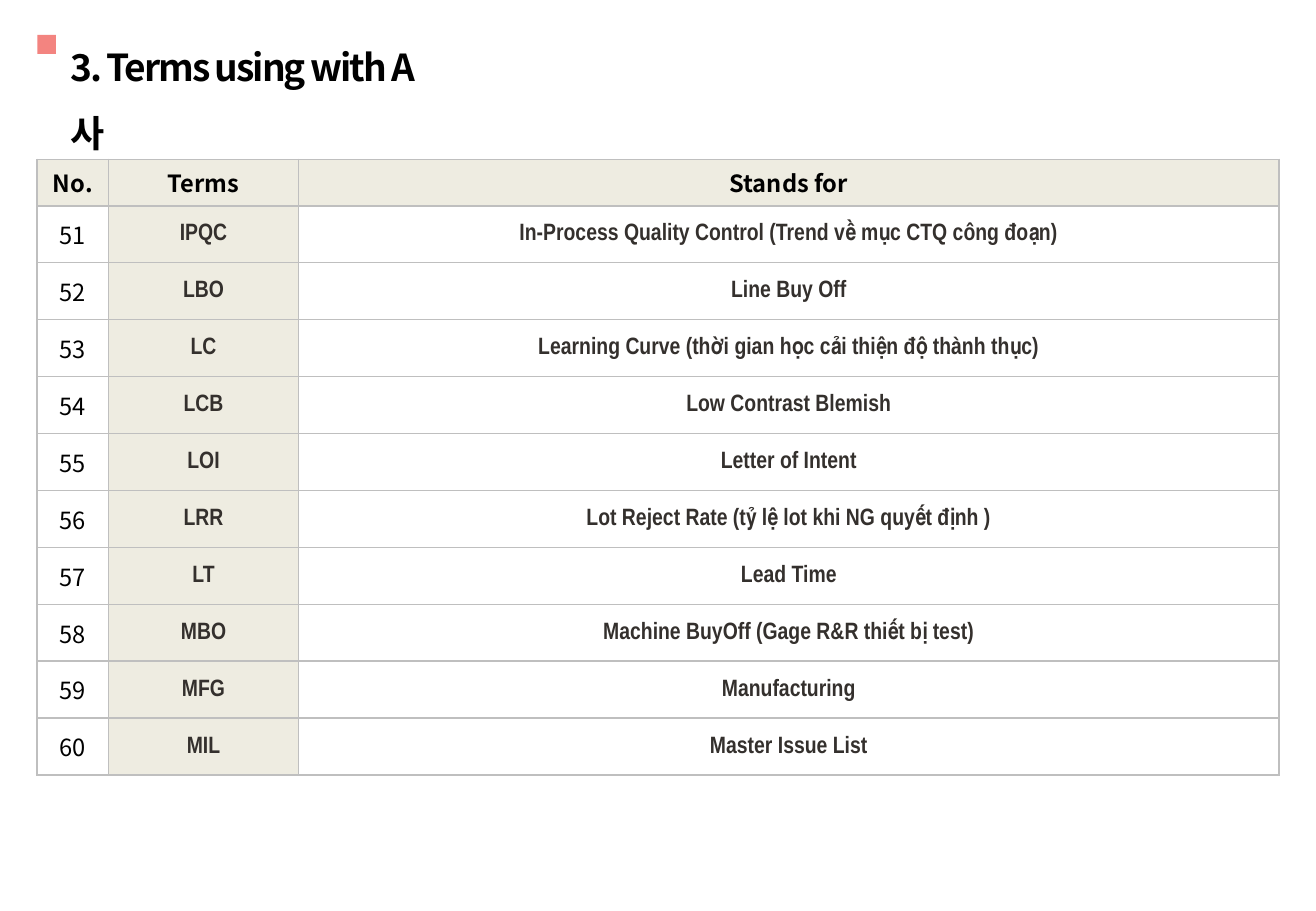
from pptx import Presentation
from pptx.dml.color import RGBColor
from pptx.enum.shapes import MSO_SHAPE as Shape
from pptx.enum.text import MSO_ANCHOR as Anchor, MSO_AUTO_SIZE as AutoSize, PP_ALIGN as Align
from pptx.oxml import parse_xml
from pptx.oxml.ns import nsdecls, qn
from pptx.util import Cm, Pt

THEME = {
    "black": RGBColor(0x00, 0x00, 0x00),
    "brown": RGBColor(0x34, 0x30, 0x2D),
    "beige": RGBColor(0xEE, 0xEC, 0xE1),
    "coral": RGBColor(0xF3, 0x84, 0x80),
    "border": "BFBFBF",
    "korean": "Noto Sans CJK KR",
    "narrow": "Arial Narrow",
    "title_size": Pt(22),
    "table_size": Pt(14),
}
FIRST_NUMBER = 51
TERMS = [
    ("IPQC", "In-Process Quality Control (Trend về mục CTQ công đoạn)"),
    ("LBO", "Line Buy Off"),
    ("LC", "Learning Curve (thời gian học cải thiện độ thành thục)"),
    ("LCB", "Low Contrast Blemish"),
    ("LOI", "Letter of Intent"),
    ("LRR", "Lot Reject Rate (tỷ lệ lot khi NG quyết định )"),
    ("LT", "Lead Time"),
    ("MBO", "Machine BuyOff (Gage R&R thiết bị test)"),
    ("MFG", "Manufacturing"),
    ("MIL", "Master Issue List"),
]


def write(frame, text, align, font_name, size, color, bold):
    paragraph = frame.paragraphs[0]
    paragraph.alignment = align
    run = paragraph.add_run()
    run.text = text
    for name, value in {"name": font_name, "size": size, "bold": bold}.items():
        setattr(run.font, name, value)
    run.font.color.rgb = color
    properties = run.font._element
    properties.append(parse_xml(f'<a:ea {nsdecls("a")} typeface="{font_name}"/>'))
    return paragraph, properties


def add_borders(cell):
    properties = cell._tc.get_or_add_tcPr()
    for side in ("lnL", "lnR", "lnT", "lnB"):
        properties.append(parse_xml(
            f'<a:{side} {nsdecls("a")} w="{Pt(1)}"><a:solidFill>'
            f'<a:srgbClr val="{THEME["border"]}"/></a:solidFill></a:{side}>'))


presentation = Presentation()
presentation.slide_width, presentation.slide_height = Cm(27.51), Cm(19.05)
slide = presentation.slides.add_slide(presentation.slide_layouts[5])

# Marker square
marker = slide.shapes.add_shape(Shape.RECTANGLE, Cm(0.78), Cm(0.73), Cm(0.39), Cm(0.4))
marker.shadow.inherit = False
marker.fill.solid()
marker.fill.fore_color.rgb = THEME["coral"]
marker.line.fill.background()

# Title
title = slide.shapes.title
for name, value in {"left": Cm(1.22), "top": Cm(0.33), "width": Cm(8), "height": Cm(1.52)}.items():
    setattr(title, name, value)
frame = title.text_frame
for name, value in {"word_wrap": True, "auto_size": AutoSize.NONE,
                    "vertical_anchor": Anchor.TOP}.items():
    setattr(frame, name, value)
paragraph, properties = write(frame, "3. Terms using with A사", Align.LEFT, THEME["korean"],
                              THEME["title_size"], THEME["black"], True)
paragraph.line_spacing = 1.5
properties.set("spc", "-120")

# Table grid
rows = [("No.", "Terms", "Stands for")]
rows += [(str(number), *term) for number, term in enumerate(TERMS, FIRST_NUMBER)]
column_widths = [Cm(1.5), Cm(3.97), Cm(20.5)]
row_heights = [Cm(0.85)] + [Cm(1.19)] * len(TERMS)
table = slide.shapes.add_table(len(rows), len(column_widths), Cm(0.77), Cm(3.33),
                               sum(column_widths), sum(row_heights)).table
table.first_row = table.horz_banding = False
for column, width in zip(table.columns, column_widths):
    column.width = width
for row, height in zip(table.rows, row_heights):
    row.height = height

# Table cells
for row_index, texts in enumerate(rows):
    for column_index, text in enumerate(texts):
        cell = table.cell(row_index, column_index)
        is_header = row_index == 0
        is_term = not is_header and column_index > 0
        add_borders(cell)
        if is_header or column_index == 1:
            cell.fill.solid()
            cell.fill.fore_color.rgb = THEME["beige"]
        else:
            cell.fill.background()
        cell.vertical_anchor = Anchor.MIDDLE
        if is_term:
            for side, margin in {"left": 0.02, "top": 0.02, "right": 0.02, "bottom": 0}.items():
                setattr(cell, f"margin_{side}", Cm(margin))
        write(cell.text_frame, text, Align.CENTER,
              THEME["narrow" if is_term else "korean"], THEME["table_size"],
              THEME["brown" if is_term else "black"], is_header or is_term)

presentation.save("out.pptx")
